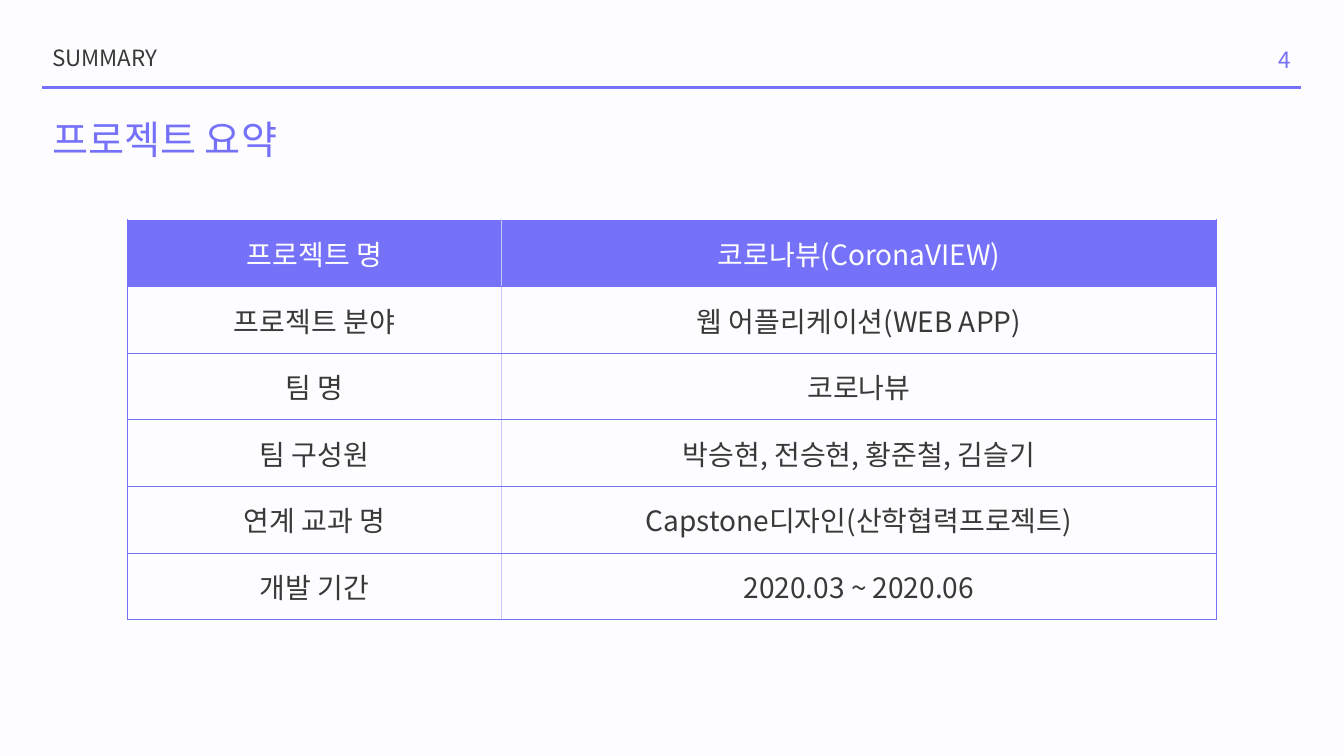
from dataclasses import dataclass

from lxml import etree
from pptx import Presentation
from pptx.dml.color import RGBColor
from pptx.enum import shapes, text
from pptx.oxml import ns
from pptx.util import Pt

FONT = "Noto Sans CJK KR"
COLORS = {
    "background": "FDFCFE",
    "accent": "7571F9",
    "divider": "C8C6FD",
    "ink": "3A3838",
    "white": "FFFFFF",
}
COLUMN_WIDTHS = (267.1, 510.9)
ROW_HEIGHT = 47.6
ALIGN = text.PP_ALIGN


@dataclass(frozen=True)
class Label:
    content: str
    left: float
    top: float
    width: float
    height: float
    size: float
    color: str
    align: text.PP_ALIGN = ALIGN.LEFT
    anchor: text.MSO_ANCHOR = text.MSO_ANCHOR.MIDDLE
    wrap: bool = True


@dataclass(frozen=True)
class Row:
    name: str
    value: str


HEADING = Label("SUMMARY", 30.2, 22.3, 278, 40.3, 16, "ink")
LABELS = [
    Label("4", 713.5, 28.1, 216, 28.8, 16, "accent", ALIGN.RIGHT),
    Label("프로젝트 요약", 30.2, 78.5, 185.8, 41, 28, "accent",
          anchor=text.MSO_ANCHOR.TOP, wrap=False),
]
ROWS = [
    Row("프로젝트 명", "코로나뷰(CoronaVIEW)"),
    Row("프로젝트 분야", "웹 어플리케이션(WEB APP)"),
    Row("팀 명", "코로나뷰"),
    Row("팀 구성원", "박승현, 전승현, 황준철, 김슬기"),
    Row("연계 교과 명", "Capstone디자인(산학협력프로젝트)"),
    Row("개발 기간", "2020.03 ~ 2020.06"),
]


def rgb(color: str) -> RGBColor:
    return RGBColor.from_string(COLORS[color])


def write(tf, content: str, size: float, color: str, align: text.PP_ALIGN) -> None:
    """Fill a text frame with one paragraph, in one font for Latin and Korean."""
    tf.text = content
    p = tf.paragraphs[0]
    p.alignment = align
    p.font.size = Pt(size)
    p.font.color.rgb = rgb(color)
    p.font.name = FONT
    defaults = p._p.get_or_add_pPr().get_or_add_defRPr()
    etree.SubElement(defaults, ns.qn("a:ea"), typeface=FONT)


def format_label(sp, label: Label) -> None:
    sp.left, sp.top = Pt(label.left), Pt(label.top)
    sp.width, sp.height = Pt(label.width), Pt(label.height)
    tf = sp.text_frame
    write(tf, label.content, label.size, label.color, label.align)
    tf.word_wrap = label.wrap
    tf.auto_size = (text.MSO_AUTO_SIZE.NONE if label.wrap
                    else text.MSO_AUTO_SIZE.SHAPE_TO_FIT_TEXT)
    tf.vertical_anchor = label.anchor


def add_rule(s) -> None:
    line = s.shapes.add_connector(
        shapes.MSO_CONNECTOR.STRAIGHT, Pt(30.2), Pt(62.6), Pt(929.5), Pt(62.6))
    line.line.color.rgb = rgb("accent")
    line.line.width = Pt(2)
    etree.SubElement(line._element.spPr, ns.qn("a:effectLst"))


def set_borders(cell, column: int) -> None:
    """Draw the cell's four sides, with a paler line between the columns."""
    inner_side = "R" if column == 0 else "L"
    props = cell._tc.get_or_add_tcPr()
    for i, side in enumerate("LRTB"):
        inner = side == inner_side
        ln = etree.Element(ns.qn(f"a:ln{side}"), w=str(Pt(1 if inner else 0.5)))
        fill = etree.SubElement(ln, ns.qn("a:solidFill"))
        color = COLORS["divider" if inner else "accent"]
        etree.SubElement(fill, ns.qn("a:srgbClr"), val=color)
        props.insert(i, ln)


def add_summary_table(s) -> None:
    frame = s.shapes.add_table(
        len(ROWS), len(COLUMN_WIDTHS), Pt(91), Pt(157),
        Pt(sum(COLUMN_WIDTHS)), Pt(ROW_HEIGHT * len(ROWS)))
    table = frame.table
    table.horz_banding = False
    table.first_row = False
    for column, width in zip(table.columns, COLUMN_WIDTHS):
        column.width = Pt(width)
    for i, row in enumerate(ROWS):
        table.rows[i].height = Pt(ROW_HEIGHT)
        header = i == 0
        for j, content in enumerate((row.name, row.value)):
            cell = table.cell(i, j)
            write(cell.text_frame, content, 20,
                  "white" if header else "ink", ALIGN.CENTER)
            cell.vertical_anchor = text.MSO_ANCHOR.MIDDLE
            if header:
                cell.fill.solid()
                cell.fill.fore_color.rgb = rgb("accent")
            else:
                cell.fill.background()
            set_borders(cell, j)


def main() -> None:
    prs = Presentation()
    prs.slide_width, prs.slide_height = Pt(960), Pt(540)
    s = prs.slides.add_slide(prs.slide_layouts.get_by_name("Title Only"))
    s.background.fill.solid()
    s.background.fill.fore_color.rgb = rgb("background")

    add_rule(s)
    format_label(s.shapes.title, HEADING)
    s.shapes.title.text_frame.paragraphs[0].line_spacing = 0.9
    for label in LABELS:
        format_label(s.shapes.add_textbox(0, 0, 0, 0), label)
    add_summary_table(s)
    prs.save("out.pptx")


if __name__ == "__main__":
    main()
